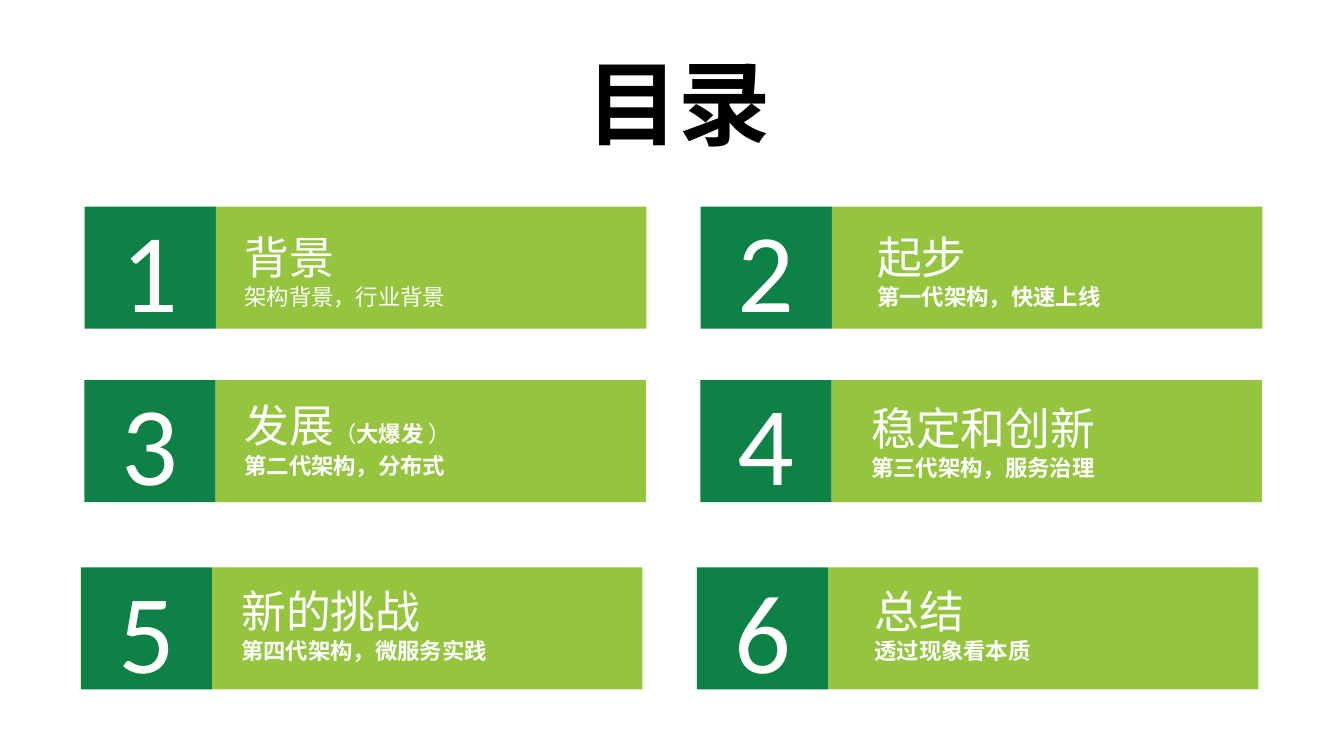
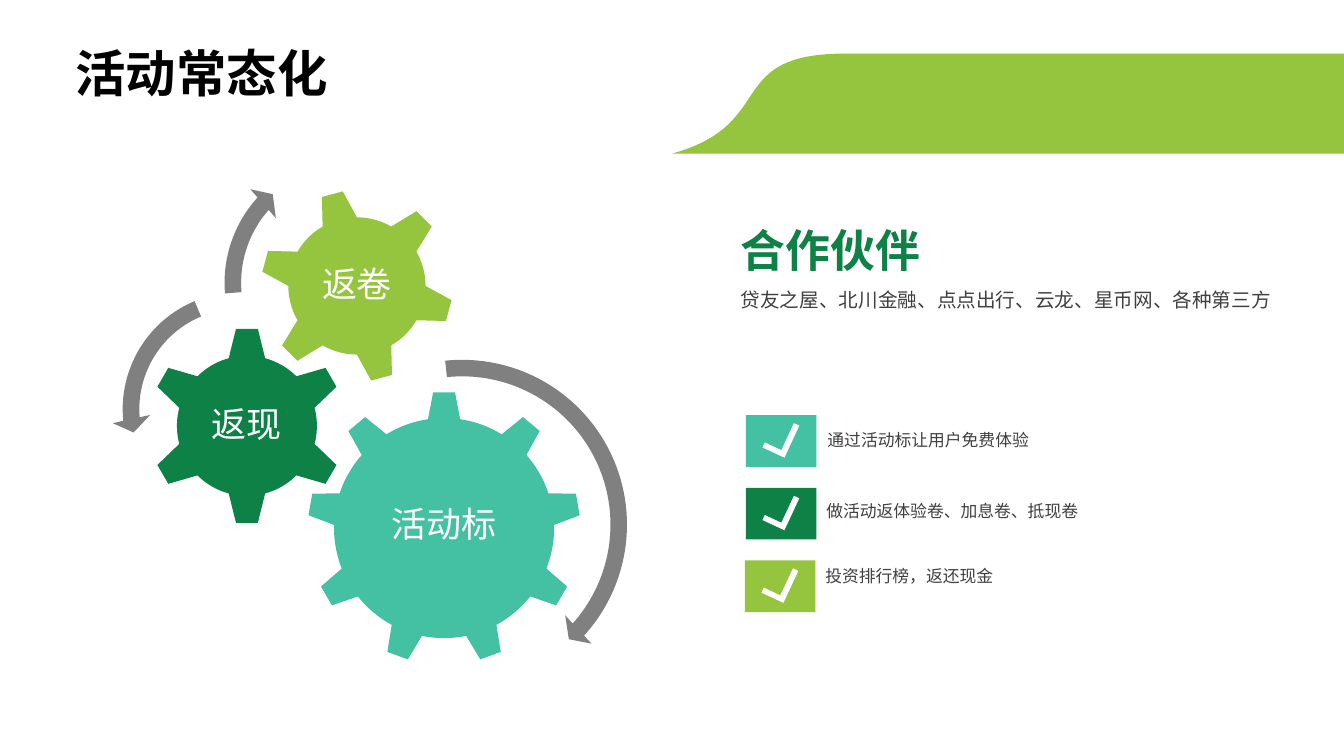
import math

import pptx
import pptx.util
from pptx.dml.color import RGBColor
from pptx.enum.lang import MSO_LANGUAGE_ID
from pptx.enum.shapes import MSO_SHAPE
from pptx.enum.text import MSO_ANCHOR, MSO_AUTO_SIZE, PP_ALIGN

Pt = pptx.util.Pt

COLORS = {
    "black": "000000", "white": "FFFFFF", "text": "404040", "gray": "808080",
    "green": "0E8146", "lime": "95C53E", "teal": "44C1A3",
}
FONT = "Calibri"

# Slide 1: heading runs, subtitle, subtitle bold, text left and top
AGENDA = [
    ([("背景", 32, False)], "架构背景，行业背景", False, 165, 159),
    ([("起步", 32, False)], "第一代架构，快速上线", True, 617, 159),
    ([("发展", 32, False), ("（", 16, False), ("大爆发 ", 16, True), ("）", 16, False)],
     "第二代架构，分布式", True, 165, 279.5),
    ([("稳定和创新", 32, False)], "第三代架构，服务治理", True, 612.7, 281.5),
    ([("新的挑战", 32, False)], "第四代架构，微服务实践", True, 162.7, 412),
    ([("总结", 32, False)], "透过现象看本质", True, 615, 412),
]
AGENDA_ROWS = [(60.5, 147.6), (60.2, 271.5), (57.8, 405.2)]
COLUMN_STEP, NUMBER_W, BAR_W, CARD_H = 440, 93.8, 307.4, 87.2

# Slide 2: label, colour, centre, body radius, tip radius, base and tip half widths, teeth, turn
GEARS = [
    ("活动标", "teal", (317.2, 377.2), 78.6, 97.3, 11.5, 7.8, 9, 0),
    ("返现", "green", (176.4, 304.2), 50, 69.8, 13, 7.8, 6, 0),
    ("返卷", "lime", (255, 204.3), 49, 68.3, 12.7, 7.7, 6, -15),
]
ARROWS = [
    (MSO_SHAPE.CIRCULAR_ARROW, 204.5, 249.1, 251.3, (0.047, 2.99, 25.24, 158.45, 0.055)),
    (MSO_SHAPE.LEFT_CIRCULAR_ARROW, 79.9, 200.9, 182.9, (0.065, 4.3, 104.89, 148.38, 0.075)),
    (MSO_SHAPE.CIRCULAR_ARROW, 152.6, 103.7, 196.6, (0.06, 3.94, 133.14, 105.08, 0.07)),
]
PARTNERS = ("合作伙伴", "贷友之屋、北川金融、点点出行、云龙、星币网、各种第三方")
# Text, colour, box left, text left and top
CHECKS = [
    ("通过活动标让用户免费体验", "teal", 532.8, 584, 303.1),
    ("做活动返体验卷、加息卷、抵现卷", "green", 532.8, 583.2, 354.2),
    ("投资排行榜，返还现金", "lime", 532.1, 582.5, 400.3),
]
CHECK_TOP, CHECK_STEP = 296.6, 51.85


def rgb(name):
    return RGBColor.from_string(COLORS[name])


def paint(sp, color):
    sp.shadow.inherit = False
    sp.fill.solid()
    sp.fill.fore_color.rgb = rgb(color)
    sp.line.fill.background()
    return sp


def write(sp, paragraphs, color, align=PP_ALIGN.LEFT, spacing=None, **frame):
    """Fill a shape with paragraphs, each a list of (text, size, bold[, colour])."""
    tf = sp.text_frame
    settings = {"word_wrap": True, "auto_size": MSO_AUTO_SIZE.NONE,
                "vertical_anchor": MSO_ANCHOR.TOP, **frame}
    for name, value in settings.items():
        setattr(tf, name, value)
    for i, runs in enumerate(paragraphs):
        p = tf.add_paragraph() if i else tf.paragraphs[0]
        p.alignment = align
        if spacing:
            p.line_spacing = spacing
        for text, size, bold, *own in runs:
            r = p.add_run()
            r.text = text
            formats = {"name": FONT, "size": Pt(size), "bold": bold,
                       "language_id": MSO_LANGUAGE_ID.SIMPLIFIED_CHINESE}
            for name, value in formats.items():
                setattr(r.font, name, value)
            r.font.color.rgb = rgb(own[0] if own else color)


def add_shape(s, kind, x, y, w, h, color):
    return paint(s.shapes.add_shape(kind, Pt(x), Pt(y), Pt(w), Pt(h)), color)


def add_text(s, x, y, w, h, paragraphs, color, **options):
    box = s.shapes.add_textbox(Pt(x), Pt(y), Pt(w), Pt(h))
    write(box, paragraphs, color, **options)


def add_outline(s, points, color):
    points = [(Pt(x), Pt(y)) for x, y in points]
    builder = s.shapes.build_freeform(*points[0])
    builder.add_line_segments(points[1:], close=True)
    return paint(builder.convert_to_shape(), color)


def new_slide(prs, title, size, x, y, w, h):
    s = prs.slides.add_slide(prs.slide_layouts[5])
    sp = s.shapes.title
    for name, value in zip(("left", "top", "width", "height"), (x, y, w, h)):
        setattr(sp, name, Pt(value))
    write(sp, [[(title, size, True)]], "black", word_wrap=False)
    return s


def gear_points(center, body, tip, base_half, tip_half, teeth, turn, steps=10):
    def polar(radius, angle):
        return center[0] + radius * math.sin(angle), center[1] - radius * math.cos(angle)

    pitch = 2 * math.pi / teeth
    base, top = math.asin(base_half / body), math.asin(tip_half / tip)
    points = []
    for i in range(teeth):
        middle = math.radians(turn) + i * pitch
        points += [polar(tip, middle - top), polar(tip, middle + top)]
        points += [polar(body, middle + base + (pitch - 2 * base) * k / steps)
                   for k in range(steps + 1)]
    return points


def bezier(a, b, c, d, steps=40):
    for i in range(steps + 1):
        t = i / steps
        u = 1 - t
        yield tuple(u**3 * p + 3 * u * u * t * q + 3 * u * t * t * v + t**3 * w
                    for p, q, v, w in zip(a, b, c, d))


def build_agenda(prs):
    s = new_slide(prs, "目录", 66, 411.8, 29.5, 147.6, 87.1)
    insets = {"margin_left": Pt(9.6), "margin_right": Pt(9.6),
              "margin_top": Pt(4.8), "margin_bottom": Pt(4.8)}
    for i, (heading, subtitle, bold, text_x, text_y) in enumerate(AGENDA):
        x, y = AGENDA_ROWS[i // 2]
        x += i % 2 * COLUMN_STEP
        number = add_shape(s, MSO_SHAPE.RECTANGLE, x, y, NUMBER_W, CARD_H, "green")
        write(number, [[(str(i + 1), 80, False)]], "white", PP_ALIGN.CENTER,
              vertical_anchor=MSO_ANCHOR.MIDDLE)
        add_shape(s, MSO_SHAPE.RECTANGLE, x + NUMBER_W, y, BAR_W, CARD_H, "lime")
        add_text(s, text_x, text_y, 261, 67.7, [heading, [(subtitle, 16, bold)]],
                 "white", **insets)


def build_activities(prs):
    s = new_slide(prs, "活动常态化", 36, 46.8, 26.6, 196.6, 51.1)
    for label, color, *geometry in GEARS:
        gear = add_outline(s, gear_points(*geometry), color)
        write(gear, [[(label, 25, False)]], "white", PP_ALIGN.CENTER, 0.9,
              vertical_anchor=MSO_ANCHOR.MIDDLE)
    for kind, x, y, size, adjustments in ARROWS:
        arrow = add_shape(s, kind, x, y, size, size, "gray")
        for i, value in enumerate(adjustments):
            arrow.adjustments[i] = value

    heading, names = PARTNERS
    add_text(s, 522, 136.1, 394.6, 90.7,
             [[(heading, 32, True, "green")], [(names, 14, False)]], "text", spacing=1.5)
    for i, (text, color, x, text_x, text_y) in enumerate(CHECKS):
        y = CHECK_TOP + i * CHECK_STEP
        add_shape(s, MSO_SHAPE.RECTANGLE, x, y, 50.4, 36.9, color)
        tick = add_shape(s, MSO_SHAPE.CORNER, x + 12.4, y + 6.6, 25.2, 17.3, "white")
        tick.rotation = 295
        tick.adjustments[0], tick.adjustments[1] = 0.245, 0.229
        add_text(s, text_x, text_y, 283, 21.6, [[(text, 12, False)]], "text")

    left, right, top, bottom = 480, 960, 38.3, 109.8
    curve = bezier((left, bottom), (556.6, 88.6), (516.2, top), (604, top))
    add_outline(s, [*curve, (right, top), (right, bottom)], "lime")


def main():
    prs = pptx.Presentation()
    prs.slide_width, prs.slide_height = Pt(960), Pt(540)
    build_agenda(prs)
    build_activities(prs)
    prs.save("out.pptx")


if __name__ == "__main__":
    main()
